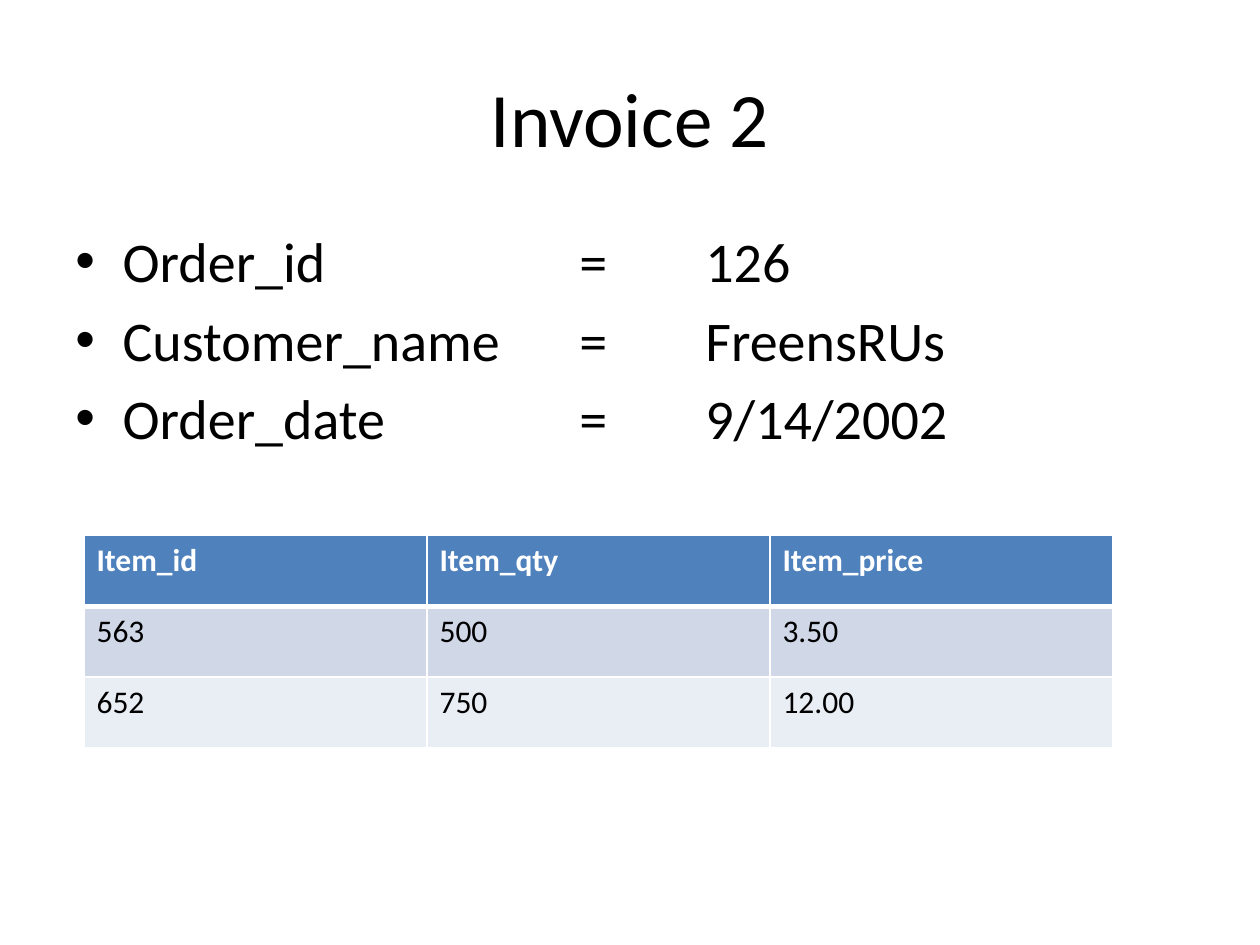
from dataclasses import dataclass

from lxml import etree
from pptx import Presentation
from pptx import util as u
from pptx.dml.color import RGBColor
from pptx.enum import text
from pptx.oxml.ns import qn

Pt = u.Pt


@dataclass(frozen=True)
class Theme:
    font: str = "Calibri"
    ink: str = "000000"
    paper: str = "FFFFFF"
    header: str = "4F81BD"
    bands: tuple = ("D0D8E8", "E9EDF4")
    title_size: float = 44
    body_size: float = 32
    table_size: float = 18


THEME = Theme()

ORDER = [
    ("Order_id", "126"),
    ("Customer_name", "FreensRUs"),
    ("Order_date", "9/14/2002"),
]
ITEMS = [
    ("Item_id", "Item_qty", "Item_price"),
    ("563", "500", "3.50"),
    ("652", "750", "12.00"),
]


def style(para, size, color=THEME.ink, bold=False):
    font = para.font
    font.name, font.size, font.bold = THEME.font, Pt(size), bold
    font.color.rgb = RGBColor.from_string(color)


def add_title(page, words):
    title = page.shapes.title
    title.left, title.top, title.width, title.height = Pt(36), Pt(21.6), Pt(648), Pt(90)
    title.text_frame.text = words
    title.text_frame.vertical_anchor = text.MSO_ANCHOR.MIDDLE
    para = title.text_frame.paragraphs[0]
    para.alignment = text.PP_ALIGN.CENTER
    style(para, THEME.title_size)


def set_bullet(para, indent, tab_stops):
    """Give a paragraph a hanging bullet and left tab stops."""
    props = para._p.get_or_add_pPr()
    props.set("marL", str(Pt(indent)))
    props.set("indent", str(-Pt(indent)))
    etree.SubElement(props, qn("a:buFont"), typeface="Arial")
    etree.SubElement(props, qn("a:buChar"), char="\u2022")
    stops = etree.SubElement(props, qn("a:tabLst"))
    for stop in tab_stops:
        etree.SubElement(stops, qn("a:tab"), pos=str(Pt(stop)), algn="l")


def add_order(page, fields):
    box = page.shapes.add_textbox(Pt(36), Pt(126), Pt(648), Pt(198))
    frame = box.text_frame
    frame.word_wrap = True
    for index, (name, value) in enumerate(fields):
        para = frame.paragraphs[0] if index == 0 else frame.add_paragraph()
        para.add_run().text = f"{name}\t=\t{value}"
        set_bullet(para, indent=27, tab_stops=(288, 360))
        para.space_before = Pt(0.2 * THEME.body_size)
        style(para, THEME.body_size)


def set_borders(cell, bottom):
    props = cell._tc.get_or_add_tcPr()
    for side, width in (("L", 1), ("R", 1), ("T", 1), ("B", bottom)):
        line = etree.SubElement(props, qn(f"a:ln{side}"), w=str(Pt(width)))
        fill = etree.SubElement(line, qn("a:solidFill"))
        etree.SubElement(fill, qn("a:srgbClr"), val=THEME.paper)


def add_items(page, rows):
    frame = page.shapes.add_table(
        len(rows), len(rows[0]), Pt(48), Pt(306), Pt(588), Pt(121.5))
    for r, row in enumerate(rows):
        is_header = r == 0
        fill = THEME.header if is_header else THEME.bands[(r - 1) % 2]
        for c, words in enumerate(row):
            cell = frame.table.cell(r, c)
            cell.text = words
            set_borders(cell, bottom=3 if is_header else 1)
            cell.fill.solid()
            cell.fill.fore_color.rgb = RGBColor.from_string(fill)
            style(cell.text_frame.paragraphs[0], THEME.table_size,
                  THEME.paper if is_header else THEME.ink, is_header)


def main():
    deck = Presentation()
    deck.slide_width, deck.slide_height = Pt(720), Pt(540)
    page = deck.slides.add_slide(deck.slide_layouts[5])
    # Heading
    add_title(page, "Invoice 2")
    # Order fields
    add_order(page, ORDER)
    # Ordered items
    add_items(page, ITEMS)
    deck.save("out.pptx")


main()
